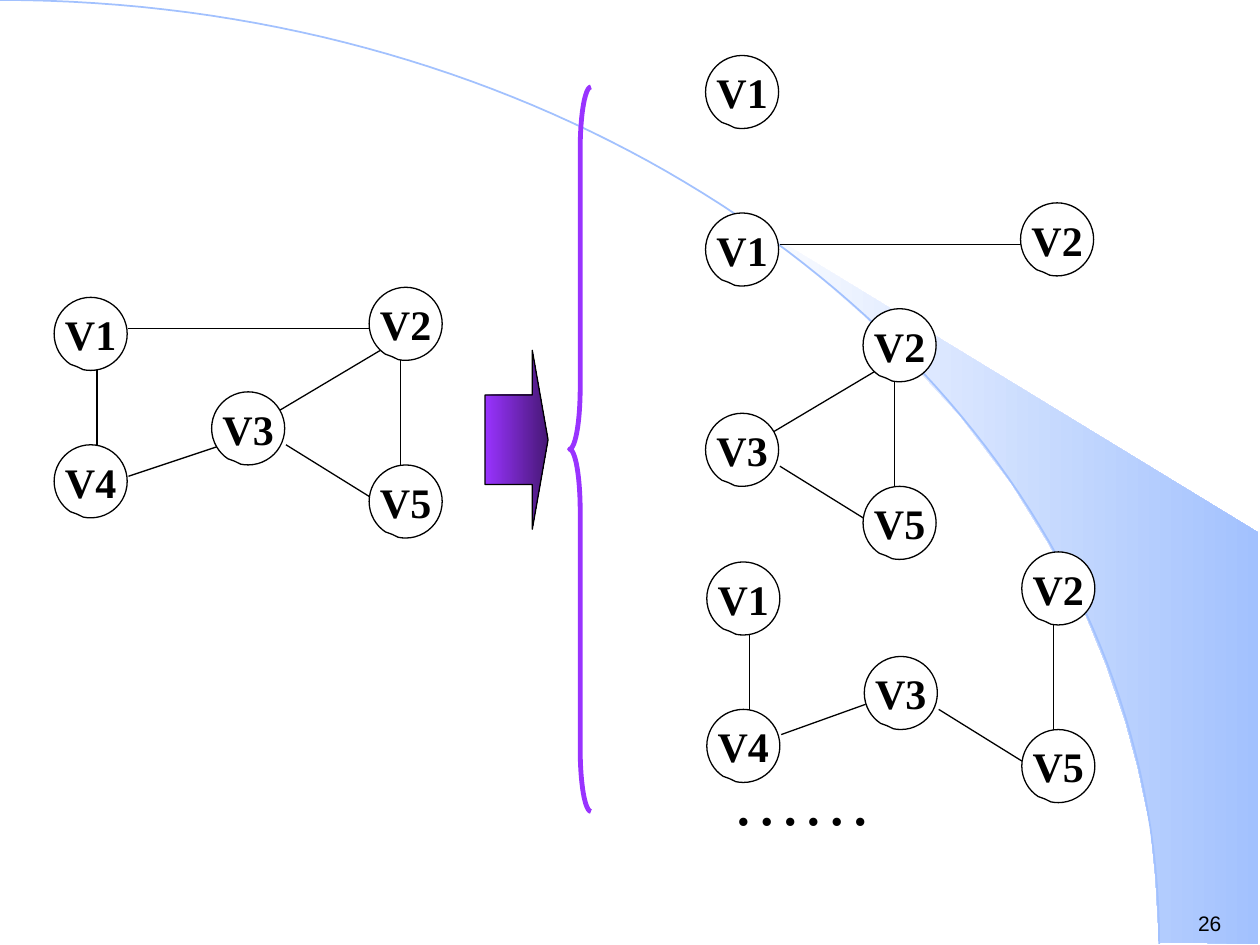
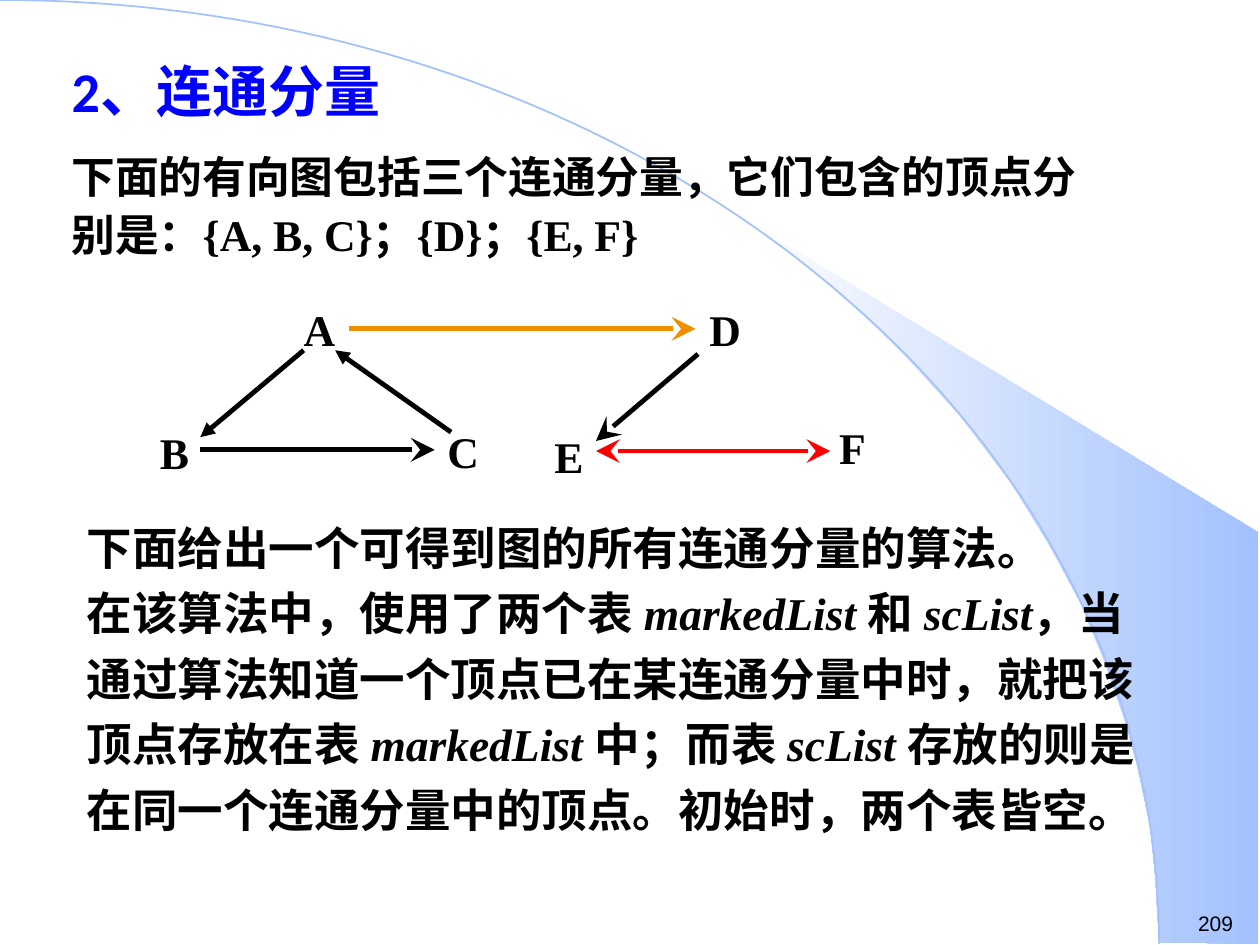
from dataclasses import dataclass

from lxml import etree
from pptx import Presentation
from pptx.dml.color import RGBColor
from pptx.enum.shapes import MSO_CONNECTOR, MSO_SHAPE
from pptx.enum.text import MSO_ANCHOR, PP_ALIGN
from pptx.oxml.ns import qn
from pptx.util import Pt

LINE = MSO_CONNECTOR.STRAIGHT
CALLOUT = MSO_SHAPE.OVAL_CALLOUT
ARROW = MSO_SHAPE.RIGHT_ARROW
BRACE = MSO_SHAPE.LEFT_BRACE
MIDDLE = MSO_ANCHOR.MIDDLE
CENTER = PP_ALIGN.CENTER
LEFT = PP_ALIGN.LEFT

EMU = 9144  # one px is a hundredth of an inch
WIDTH, HEIGHT = 1000, 750
NODE = 58
SERIF, HAN = "Times New Roman", "Noto Sans CJK SC"
COLORS = {
    "black": "000000", "white": "FFFFFF", "sky": "A2C1FE", "blue": "0000FF",
    "violet": "9933FF", "plum": "471876", "orange": "EF8F00", "red": "FF0000",
}

# Background: a swept curve and a shaded wedge below it
CURVE = ((0, 0), (508, 0), (920, 335), (920, 749))
WEDGE = (
    (920, 748), (999, 749), (999, 423), (589, 173), (624, 199), (653, 222),
    (685, 250), (716, 280), (762, 330), (803, 384), (832, 431), (858, 479),
    (878, 528), (893, 572), (903, 609), (913, 656), (917, 696),
)

# The full graph; each subgraph is a shifted part of it
NODES = {"V1": (43, 236), "V2": (293, 228), "V3": (168, 311),
         "V4": (43, 353), "V5": (293, 369)}
EDGES = {
    "V1V4": (77, 294, 77, 361), "V1V2": (102, 261, 293, 261),
    "V2V5": (318, 286, 318, 378), "V3V5": (293, 394, 227, 353),
    "V2V3": (302, 278, 218, 328), "V3V4": (177, 353, 102, 378),
}


@dataclass(frozen=True)
class Graph:
    dx: int
    dy: int
    nodes: tuple[str, ...]
    edges: tuple[str, ...] = ()


@dataclass(frozen=True)
class Link:
    ends: tuple[int, int, int, int]
    color: str = "black"
    head: str = ""
    tail: str = ""
    width: float = 2.75


@dataclass(frozen=True)
class Label:
    text: str
    box: tuple[int, int, int, int]


@dataclass(frozen=True)
class Style:
    size: int
    bold: bool = True
    face: str = SERIF
    color: str = "black"
    align: int = LEFT
    before: int = 0
    pitch: object = None


GRAPHS = (
    Graph(0, 0, tuple(NODES), tuple(EDGES)),
    Graph(517, -192, ("V1",)),
    Graph(517, -67, ("V1", "V2"), ("V1V2",)),
    Graph(392, 17, ("V2", "V3", "V5"), ("V2V5", "V3V5", "V2V3")),
    Graph(518, 210, tuple(NODES), ("V1V4", "V2V5", "V3V5")),
)
LINKS = (
    Link((266, 278, 358, 343), head="triangle"),
    Link((241, 278, 159, 347), tail="triangle"),
    Link((345, 357, 159, 357), head="stealth"),
    Link((277, 261, 552, 261), "orange", tail="stealth"),
    Link((554, 281, 473, 350), tail="stealth"),
    Link((659, 358, 473, 358), "red", "stealth", "stealth"),
)
LABELS = (
    Label("A", (239, 240, 29, 42)), Label("B", (127, 338, 23, 42)),
    Label("C", (355, 337, 25, 42)), Label("D", (559, 240, 33, 42)),
    Label("E", (440, 341, 23, 42)), Label("F", (666, 334, 21, 42)),
)

PAGE = Style(12, False, "Arial")
DOTS = Style(40, False)
NAME = Style(24, align=CENTER)
MARK = Style(25, align=CENTER)
TITLE = Style(32, face="Calibri", color="blue")
LEAD = Style(25, before=12, pitch=Pt(33))
BODY = Style(26, pitch=1.2)


def px(*vals: int) -> list[int]:
    return [val * EMU for val in vals]


def rgb(name: str) -> RGBColor:
    return RGBColor.from_string(COLORS[name])


def shade(fill, first: str, last: str) -> None:
    """Fill from left to right with two colours."""
    fill.gradient()
    fill.gradient_angle = 0
    for stop, name in zip(fill.gradient_stops, (first, last)):
        stop.color.rgb = rgb(name)


def stroke(shape, color: str, width: float) -> None:
    shape.line.color.rgb = rgb(color)
    shape.line.width = Pt(width)


def write(para, runs: tuple[str, ...], style: Style) -> None:
    """Fill a paragraph; every second run is italic."""
    for i, text in enumerate(runs):
        run = para.add_run()
        run.text = text
        if i % 2:
            run.font.italic = True
    para.alignment = style.align
    if style.before:
        para.space_before = Pt(style.before)
    if style.pitch:
        para.line_spacing = style.pitch
    font = para.font
    font.size, font.bold, font.name = Pt(style.size), style.bold, style.face
    font.color.rgb = rgb(style.color)
    base = para._p.pPr.find(qn("a:defRPr"))
    etree.SubElement(base, qn("a:ea")).set("typeface", HAN)


def add_text(slide, box: tuple[int, ...], *parts, wrap: bool = True,
             inset: bool = True) -> None:
    """Add a text box; each part is a tuple of runs and a style."""
    frame = slide.shapes.add_textbox(*px(*box)).text_frame
    frame.word_wrap = wrap
    if not inset:
        frame.margin_left = frame.margin_right = 0
        frame.margin_top = frame.margin_bottom = 0
    for i, (runs, style) in enumerate(parts):
        para = frame.add_paragraph() if i else frame.paragraphs[0]
        write(para, runs, style)


def add_link(slide, link: Link) -> None:
    line = slide.shapes.add_connector(LINE, *px(*link.ends))
    stroke(line, link.color, link.width)
    for tag, kind in (("a:headEnd", link.head), ("a:tailEnd", link.tail)):
        if kind:
            size = "lg" if kind == "stealth" else "med"
            tip = etree.SubElement(line.line._get_or_add_ln(), qn(tag))
            for key, val in (("type", kind), ("w", size), ("len", size)):
                tip.set(key, val)
    etree.SubElement(line._element.spPr, qn("a:effectLst"))


def add_node(slide, name: str, x: int, y: int) -> None:
    node = slide.shapes.add_shape(CALLOUT, *px(x, y, NODE, NODE))
    node.shadow.inherit = False
    node.adjustments[0], node.adjustments[1] = -0.188, 0.449
    node.fill.solid()
    node.fill.fore_color.rgb = rgb("white")
    stroke(node, "black", 0.75)
    frame = node.text_frame
    frame.word_wrap = False
    frame.vertical_anchor = MIDDLE
    write(frame.paragraphs[0], (name,), NAME)


def add_graph(slide, graph: Graph) -> None:
    dx, dy = graph.dx, graph.dy
    for key in graph.edges:
        x1, y1, x2, y2 = EDGES[key]
        add_link(slide, Link((x1 + dx, y1 + dy, x2 + dx, y2 + dy), width=0.75))
    for name in graph.nodes:
        x, y = NODES[name]
        add_node(slide, name, x + dx, y + dy)


def bend(steps: int = 80) -> list[tuple[int, int]]:
    """Points along the cubic background curve, in EMU."""
    points = []
    for i in range(steps + 1):
        t = i / steps
        u = 1 - t
        parts = (u ** 3, 3 * u * u * t, 3 * u * t * t, t ** 3)
        points.append(tuple(
            round(EMU * sum(k * spot[axis] for k, spot in zip(parts, CURVE)))
            for axis in (0, 1)))
    return points


def add_path(slide, points: list[tuple[int, int]], close: bool):
    pen = slide.shapes.build_freeform(*points[0])
    pen.add_line_segments(points[1:], close=close)
    shape = pen.convert_to_shape()
    shape.shadow.inherit = False
    return shape


def add_slide(deck, page: str):
    """Start a slide with the shared background and page number."""
    slide = deck.slides.add_slide(deck.slide_layouts[6])
    wedge = add_path(slide, [tuple(px(*spot)) for spot in WEDGE], True)
    shade(wedge.fill, "white", "sky")
    wedge.line.fill.background()
    curve = add_path(slide, bend(), False)
    curve.fill.background()
    stroke(curve, "sky", 1)
    add_text(slide, (941, 718, 59, 30), ((page,), PAGE))
    return slide


def draw_parts(deck) -> None:
    """A graph and some of its subgraphs."""
    slide = add_slide(deck, "26")
    add_text(slide, (571, 595, 225, 77), (("……",), DOTS))

    # Brace and block arrow
    brace = slide.shapes.add_shape(BRACE, *px(452, 69, 17, 575))
    brace.shadow.inherit = False
    brace.adjustments[0], brace.adjustments[1] = 2.9, 0.5
    brace.fill.background()
    stroke(brace, "violet", 2.75)
    arrow = slide.shapes.add_shape(ARROW, *px(385, 278, 50, 142))
    arrow.shadow.inherit = False
    arrow.adjustments[0], arrow.adjustments[1] = 0.5, 0.25
    shade(arrow.fill, "violet", "plum")
    stroke(arrow, "black", 0.75)

    for graph in GRAPHS:
        add_graph(slide, graph)
    # The last subgraph has its own line from V4 to V3
    add_link(slide, Link((620, 583, 687, 559), width=0.75))


def draw_groups(deck) -> None:
    """Connected components of a directed graph."""
    slide = add_slide(deck, "209")
    add_text(
        slide, (47, 40, 827, 185),
        (("2、连通分量",), TITLE),
        (("下面的有向图包括三个连通分量，它们包含的顶点分别是："
          "{A, B, C}；{D}；{E, F}",), LEAD))

    # Directed graph
    for label in LABELS:
        add_text(slide, label.box, ((label.text,), MARK), wrap=False, inset=False)
    for link in LINKS:
        add_link(slide, link)

    add_text(
        slide, (59, 399, 878, 322),
        (("下面给出一个可得到图的所有连通分量的算法。",), BODY),
        (("在该算法中，使用了两个表 ", "markedList ", "和 ", "scList",
          "，当通过算法知道一个顶点已在某连通分量中时，就把该顶点存放在表 ",
          "markedList ", "中；而表 ", "scList ",
          "存放的则是在同一个连通分量中的顶点。初始时，两个表皆空。"), BODY))


def main() -> None:
    deck = Presentation()
    deck.slide_width, deck.slide_height = px(WIDTH, HEIGHT)
    draw_parts(deck)
    draw_groups(deck)
    deck.save("out.pptx")


if __name__ == "__main__":
    main()
